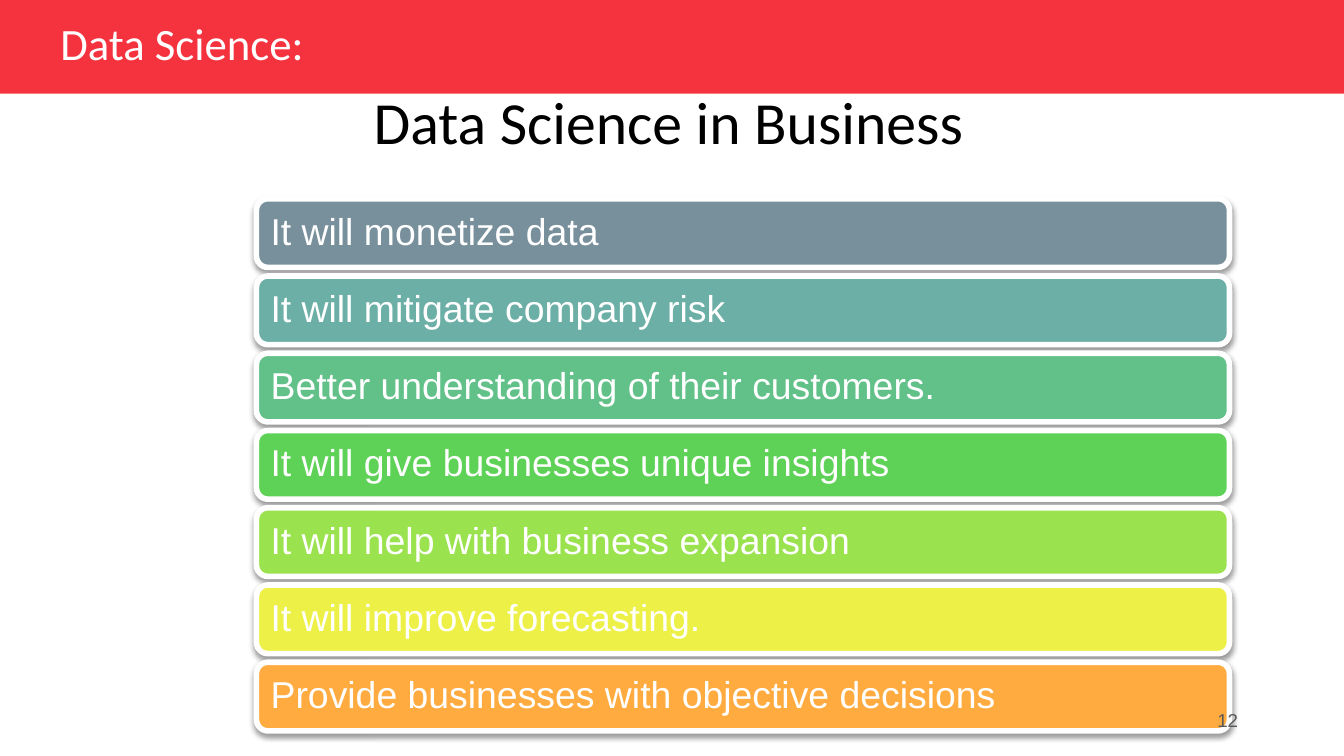
from lxml.etree import SubElement
from pptx import Presentation
from pptx.dml.color import RGBColor
from pptx.enum.shapes import MSO_SHAPE as Shape
from pptx.enum.text import MSO_ANCHOR as Anchor, PP_ALIGN as Align
from pptx.oxml.ns import qn
from pptx.util import Pt

COLORS = {
    "banner": "F5333F",
    "white": "FFFFFF",
    "heading": "000000",
    "number": "595959",
    "shadow": "000000",
}
BENEFITS = [
    ("It will monetize data", "78909C"),
    ("It will mitigate company risk", "6CAFA6"),
    ("Better understanding of their customers.", "61C188"),
    ("It will give businesses unique insights", "5ED257"),
    ("It will help with business expansion", "9BE24F"),
    ("It will improve forecasting.", "EDF147"),
    ("Provide businesses with objective decisions", "FFAB40"),
]


def rgb(value):
    """Turn a hex string into a colour."""
    return RGBColor.from_string(value)


def write(shape, text, size, font, color, align=Align.LEFT, anchor=Anchor.MIDDLE, spacing=0.9):
    """Set the text of a shape and format its one paragraph."""
    frame = shape.text_frame
    frame.word_wrap = True
    frame.vertical_anchor = anchor
    frame.text = text
    paragraph = frame.paragraphs[0]
    paragraph.alignment = align
    paragraph.line_spacing = spacing
    paragraph.font.size = Pt(size)
    paragraph.font.name = font
    paragraph.font.color.rgb = rgb(color)


def add_label(slide, box, *style, **layout):
    """Add a text box in the given box."""
    label = slide.shapes.add_textbox(*map(Pt, box))
    write(label, *style, **layout)
    return label


def add_block(slide, kind, box, fill):
    """Add a filled shape without line or shadow."""
    block = slide.shapes.add_shape(kind, *map(Pt, box))
    block.shadow.inherit = False
    block.fill.solid()
    block.fill.fore_color.rgb = rgb(fill)
    block.line.fill.background()
    return block


def add_shadow(shape):
    """Give a shape a soft shadow straight below it."""
    effects = shape._element.spPr.find(qn("a:effectLst"))
    shadow = SubElement(effects, qn("a:outerShdw"), blurRad=str(Pt(3.1)), dist=str(Pt(1.6)),
                        dir="5400000", algn="ctr", rotWithShape="0")
    tint = SubElement(shadow, qn("a:srgbClr"), val=COLORS["shadow"])
    SubElement(tint, qn("a:alpha"), val="38000")


def add_banner(slide, box):
    """Add the top band with the slide title."""
    left, top, width, height = box
    add_block(slide, Shape.RECTANGLE, box, COLORS["banner"])
    add_label(slide, (left + 25.2, top + 9.4, 294.5, 30.2),
              "Data Science:", 24, "Calibri", COLORS["white"])


def add_heading(slide, box):
    """Add the centred heading, shifted by its indent."""
    heading = add_label(slide, box, "Data Science in Business", 32, "Calibri",
                        COLORS["heading"], align=Align.CENTER, anchor=Anchor.TOP)
    heading.text_frame.margin_left = Pt(25.2)


def add_benefits(slide, box, gap):
    """Stack one bar per benefit, evenly, in the given box."""
    left, top, width, height = box
    pitch = (height + gap) / len(BENEFITS)
    for row, (benefit, fill) in enumerate(BENEFITS):
        bar = add_block(slide, Shape.ROUNDED_RECTANGLE,
                        (left, top + row * pitch, width, pitch - gap), fill)
        bar.line.color.rgb = rgb(COLORS["white"])
        bar.line.width = Pt(3)
        add_shadow(bar)
        write(bar, benefit, 20, "Arial", COLORS["white"])
        frame = bar.text_frame
        frame.margin_left = frame.margin_right = Pt(5.8)


def add_page_number(slide, box):
    """Add the slide number."""
    add_label(slide, box, "12", 10, "Arial", COLORS["number"], align=Align.RIGHT, spacing=1)


def main():
    """Build the slide and save it."""
    deck = Presentation()
    deck.slide_width, deck.slide_height = Pt(720), Pt(405)
    slide = deck.slides.add_slide(deck.slide_layouts[6])
    add_banner(slide, (0, 0, 720, 50.2))
    add_heading(slide, (54, 46.1, 590.4, 51.1))
    add_benefits(slide, (137.4, 106.5, 521.3, 285.1), 4.6)
    add_page_number(slide, (508.3, 375.1, 162, 21.6))
    deck.save("out.pptx")


if __name__ == "__main__":
    main()
